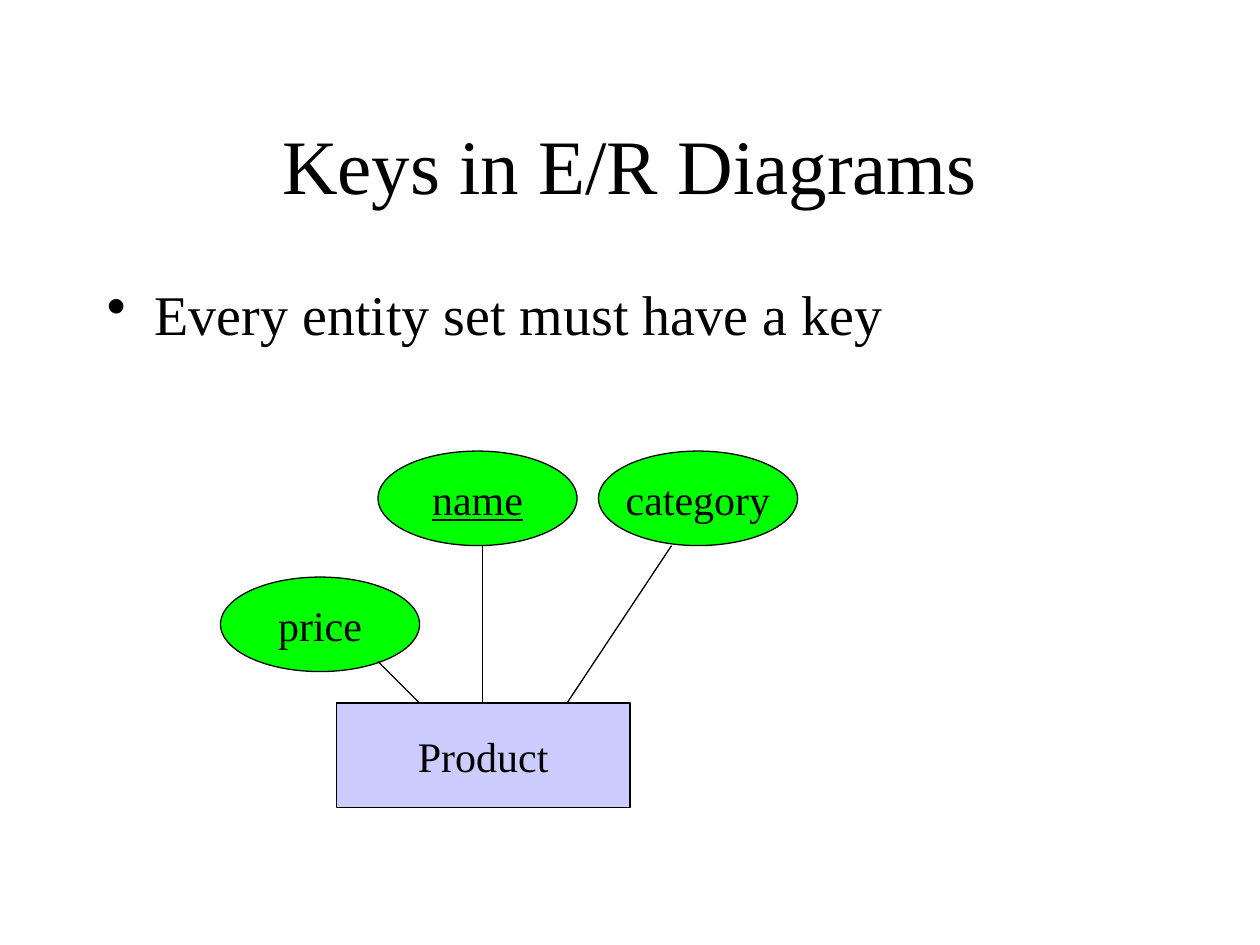
from typing import NamedTuple

from lxml import etree
from pptx import Presentation
from pptx.dml.color import RGBColor
from pptx.enum.shapes import MSO_CONNECTOR, MSO_SHAPE
from pptx.enum.text import MSO_ANCHOR, PP_ALIGN
from pptx.oxml.ns import qn
from pptx.util import Inches, Pt

FONT = "Times New Roman"
BLACK, GREEN, LAVENDER = "000000", "00FF00", "CCCCFF"
ENTITY_TOP = 5.58
OVAL_W, OVAL_H = 1.58, 0.75


class Node(NamedTuple):
    text: str
    x: float
    y: float
    w: float = OVAL_W
    h: float = OVAL_H
    kind: MSO_SHAPE = MSO_SHAPE.OVAL
    fill: str = GREEN
    key: bool = False


class Link(NamedTuple):
    x1: float
    y1: float
    x2: float
    y2: float


NODES = [
    Node("Product", 2.67, ENTITY_TOP, 2.33, 0.83, MSO_SHAPE.RECTANGLE, LAVENDER),
    Node("name", 3, 3.58, key=True),
    Node("category", 4.75, 3.58),
    Node("price", 1.75, 4.58),
]
LINKS = [
    Link(3.33, ENTITY_TOP, 3, 5.25),
    Link(3.83, ENTITY_TOP, 3.83, 4.33),
    Link(4.5, ENTITY_TOP, 5.33, 4.33),
]


def color(value: str) -> RGBColor:
    return RGBColor.from_string(value)


def write(shape, text: str, *, size: float, align=PP_ALIGN.CENTER,
          anchor=MSO_ANCHOR.MIDDLE, wrap=True, underline=False, bullet=False) -> None:
    tf = shape.text_frame
    tf.word_wrap = wrap
    tf.vertical_anchor = anchor
    p = tf.paragraphs[0]
    p.alignment = align
    if bullet:
        pPr = p._p.get_or_add_pPr()
        pPr.set("marL", str(Inches(0.38)))
        pPr.set("indent", str(Inches(-0.38)))
        etree.SubElement(pPr, qn("a:buChar"), char="•")
    r = p.add_run()
    r.text = text
    r.font.name = FONT
    r.font.size = Pt(size)
    r.font.color.rgb = color(BLACK)
    if underline:
        r.font.underline = True


def outline(shape) -> None:
    shape.line.color.rgb = color(BLACK)
    shape.line.width = Pt(0.75)


def add_node(s, node: Node) -> None:
    sp = s.shapes.add_shape(node.kind, Inches(node.x), Inches(node.y),
                            Inches(node.w), Inches(node.h))
    sp.shadow.inherit = False
    sp.fill.solid()
    sp.fill.fore_color.rgb = color(node.fill)
    outline(sp)
    write(sp, node.text, size=24, wrap=False, underline=node.key)


def add_link(s, link: Link) -> None:
    line = s.shapes.add_connector(MSO_CONNECTOR.STRAIGHT, *map(Inches, link))
    outline(line)
    etree.SubElement(line._element.spPr, qn("a:effectLst"))


def main() -> None:
    prs = Presentation()
    prs.slide_width, prs.slide_height = Inches(10), Inches(7.5)
    s = prs.slides.add_slide(prs.slide_layouts[6])

    title = s.shapes.add_textbox(Inches(0.75), Inches(0.67), Inches(8.5), Inches(1.25))
    write(title, "Keys in E/R Diagrams", size=44)
    body = s.shapes.add_textbox(Inches(0.75), Inches(2.17), Inches(8.5), Inches(4.5))
    write(body, "Every entity set must have a key", size=32, align=PP_ALIGN.LEFT,
          anchor=MSO_ANCHOR.TOP, bullet=True)

    for node in NODES:
        add_node(s, node)
    for link in LINKS:
        add_link(s, link)
    prs.save("out.pptx")


if __name__ == "__main__":
    main()
